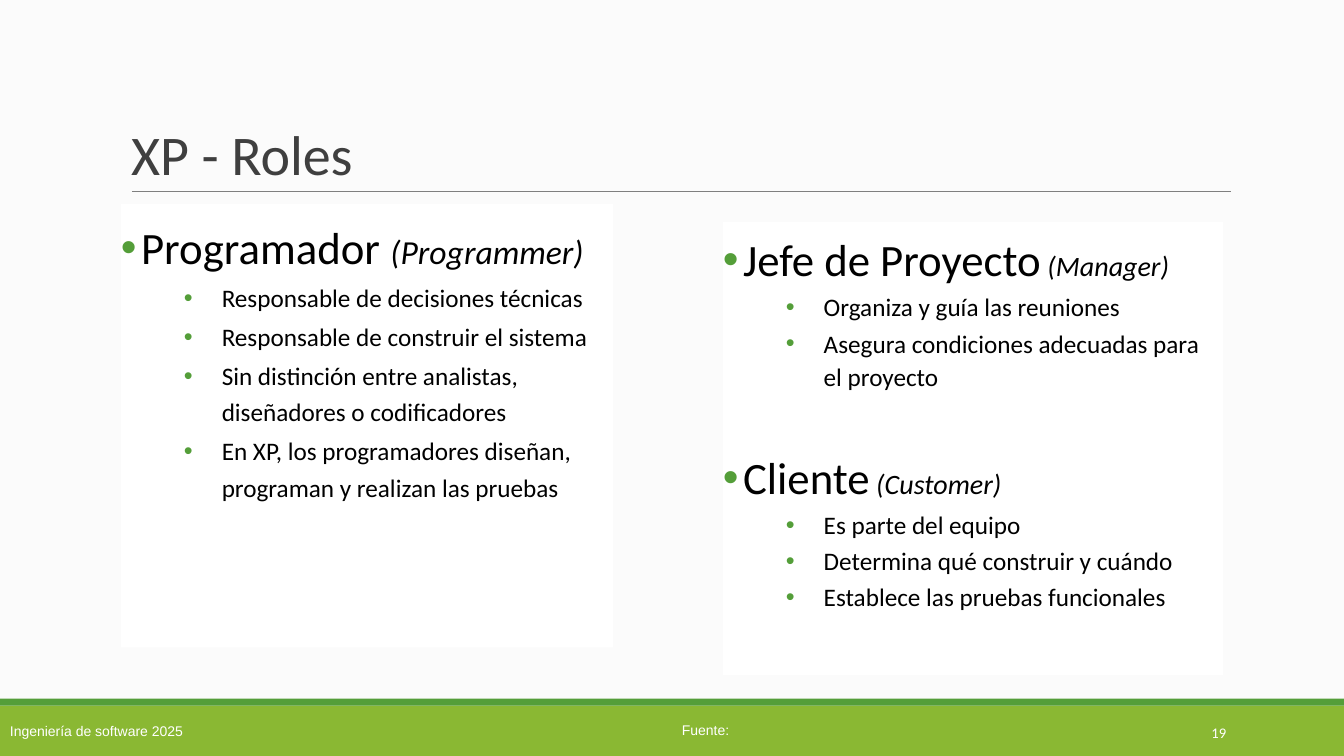
import pptx
import pptx.util
import pptx.dml.color
import pptx.enum.shapes
import pptx.enum.text
import pptx.oxml.ns
import lxml.etree

Pt = pptx.util.Pt
RGB = pptx.dml.color.RGBColor.from_string
qn = pptx.oxml.ns.qn
ALIGN = pptx.enum.text.PP_ALIGN
ANCHOR = pptx.enum.text.MSO_ANCHOR

THEME = {
    "paper": RGB("FBFBFB"), "panel": RGB("FFFFFF"), "ink": RGB("000000"),
    "title": RGB("3F3F3F"), "rule": RGB("7F7F7F"),
    "lime": RGB("8AB833"), "green": RGB("549E39"), "white": RGB("FFFFFF"),
    "title_size": 40, "role_size": 32, "duty_size": 18,
    "footer_size": 10, "number_size": 10.5,
    "body_font": "Calibri", "footer_font": "Arial",
}


def style_run(run, size, color, font=THEME["body_font"], italic=False):
    run.font.size = Pt(size)
    run.font.name = font
    run.font.italic = italic
    run.font.color.rgb = color


def style_bullet(paragraph, left, hanging, spacing, before):
    paragraph.alignment = ALIGN.LEFT
    paragraph.line_spacing = spacing
    paragraph.space_before = Pt(before)
    paragraph.space_after = Pt(0)
    props = paragraph._p.get_or_add_pPr()
    props.set("marL", str(Pt(left)))
    props.set("indent", str(-Pt(hanging)))
    bullet_color = lxml.etree.SubElement(props, qn("a:buClr"))
    lxml.etree.SubElement(bullet_color, qn("a:srgbClr"), val=str(THEME["green"]))
    lxml.etree.SubElement(props, qn("a:buFont"), typeface="Arial")
    lxml.etree.SubElement(props, qn("a:buChar"), char="•")


deck = pptx.Presentation()
deck.slide_width, deck.slide_height = Pt(960), Pt(540)
slide = deck.slides.add_slide(deck.slide_layouts.get_by_name("Two Content"))
slide.background.fill.solid()
slide.background.fill.fore_color.rgb = THEME["paper"]

# Footer bands
for top, height, color in ((504, 36, THEME["lime"]), (499, 5, THEME["green"])):
    band = slide.shapes.add_shape(
        pptx.enum.shapes.MSO_SHAPE.RECTANGLE, Pt(0), Pt(top), Pt(960), Pt(height))
    band.shadow.inherit = False
    band.fill.solid()
    band.fill.fore_color.rgb = color
    band.line.fill.background()

# Footer texts
footer_texts = (
    ("Ingeniería de software 2025", 0, 504, 300, 36, ANCHOR.MIDDLE, ALIGN.LEFT,
     THEME["footer_size"], THEME["footer_font"]),
    ("Fuente:", 480, 512, 60, 19.4, ANCHOR.TOP, ALIGN.LEFT,
     THEME["footer_size"], THEME["footer_font"]),
    ("19", 780, 508.5, 103, 29, ANCHOR.MIDDLE, ALIGN.RIGHT,
     THEME["number_size"], THEME["body_font"]),
)
for words, left, top, width, height, anchor, align, size, font in footer_texts:
    note = slide.shapes.add_textbox(Pt(left), Pt(top), Pt(width), Pt(height)).text_frame
    note.word_wrap = True
    note.vertical_anchor = anchor
    note.text = words
    note.paragraphs[0].alignment = align
    style_run(note.paragraphs[0].runs[0], size, THEME["white"], font)

# Title and its rule
title = slide.shapes.title
title.left, title.top, title.width, title.height = Pt(86.4), Pt(22.5), Pt(792), Pt(114.5)
title.text_frame.text = "XP - Roles"
title.text_frame.auto_size = pptx.enum.text.MSO_AUTO_SIZE.NONE
title.text_frame.vertical_anchor = ANCHOR.BOTTOM
heading = title.text_frame.paragraphs[0]
heading.alignment = ALIGN.LEFT
heading.line_spacing = 0.85
style_run(heading.runs[0], THEME["title_size"], THEME["title"])

rule = slide.shapes.add_connector(
    pptx.enum.shapes.MSO_CONNECTOR.STRAIGHT, Pt(94.3), Pt(136.8), Pt(879), Pt(136.8))
rule.line.color.rgb = THEME["rule"]
rule.line.width = Pt(0.75)
lxml.etree.SubElement(rule._element.spPr, qn("a:effectLst"))

# Role panels: placeholder, box, line spacing, size of the English name, roles.
# Each role: name, separator, English name, space before, duties.
panels = (
    (1, (86.4, 145.6, 351.4, 316.8), 1.2, 24, (
        ("Programador ", "", "(Programmer)", 12, (
            "Responsable de decisiones técnicas",
            "Responsable de construir el sistema",
            "Sin distinción entre analistas, diseñadores o codificadores",
            "En XP, los programadores diseñan, programan y realizan las pruebas")),
    )),
    (2, (516.4, 158.4, 357.1, 323.6), 1.1, 20, (
        ("Jefe de Proyecto", " ", "(Manager)", 12, (
            "Organiza y guía las reuniones",
            "Asegura condiciones adecuadas para el proyecto")),
        ("Cliente", " ", "(Customer)", 38, (
            "Es parte del equipo",
            "Determina qué construir y cuándo",
            "Establece las pruebas funcionales")),
    )),
)
for slot, box, spacing, english_size, roles in panels:
    panel = slide.placeholders[slot]
    panel.left, panel.top, panel.width, panel.height = map(Pt, box)
    panel.fill.solid()
    panel.fill.fore_color.rgb = THEME["panel"]
    frame = panel.text_frame
    frame.auto_size = pptx.enum.text.MSO_AUTO_SIZE.NONE
    frame.margin_left = frame.margin_right = Pt(0)
    for index, (role, separator, english, before, duties) in enumerate(roles):
        role_line = frame.add_paragraph() if index else frame.paragraphs[0]
        style_bullet(role_line, 14.4, 14.4, spacing, before)
        for words, size, italic in ((role, THEME["role_size"], False),
                                    (separator + english, english_size, True)):
            run = role_line.add_run()
            run.text = words
            style_run(run, size, THEME["ink"], italic=italic)
        for duty in duties:
            duty_line = frame.add_paragraph()
            duty_line.text = duty
            duty_line.level = 1
            style_bullet(duty_line, 72, 27, spacing, 2)
            style_run(duty_line.runs[0], THEME["duty_size"], THEME["ink"])

deck.save("out.pptx")
